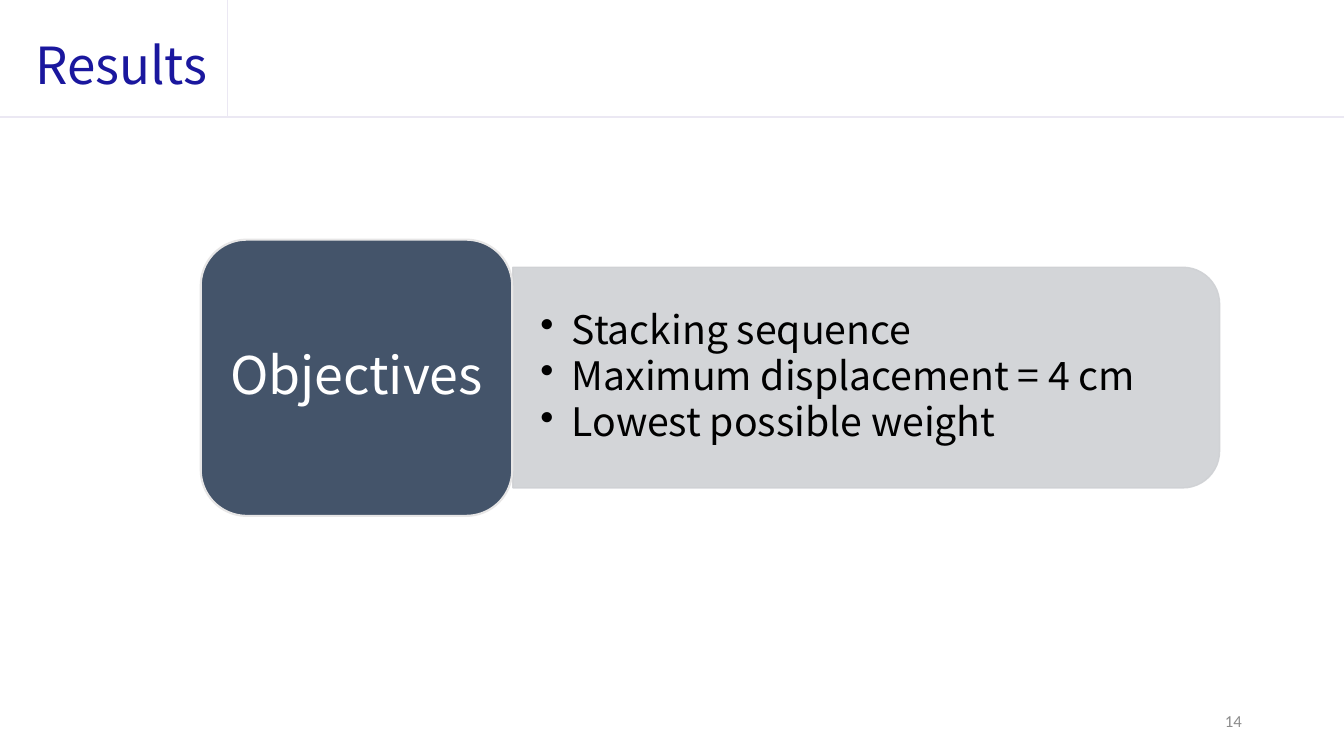
from dataclasses import dataclass

from lxml import etree
from pptx import Presentation
from pptx.dml.color import RGBColor
from pptx.enum.shapes import MSO_CONNECTOR, MSO_SHAPE
from pptx.enum.text import MSO_ANCHOR, PP_ALIGN
from pptx.oxml.ns import qn
from pptx.util import Cm, Pt

STRAIGHT = MSO_CONNECTOR.STRAIGHT
ROUNDED, TOP_ROUNDED = MSO_SHAPE.ROUNDED_RECTANGLE, MSO_SHAPE.ROUND_2_SAME_RECTANGLE
TOP, MIDDLE = MSO_ANCHOR.TOP, MSO_ANCHOR.MIDDLE
LEFT, CENTER, RIGHT = PP_ALIGN.LEFT, PP_ALIGN.CENTER, PP_ALIGN.RIGHT


@dataclass(frozen=True)
class Theme:
    """Colours, fonts and type sizes of the slide."""

    font: str = "Noto Sans CJK SC"
    number_font: str = "Calibri"
    title: str = "1A179E"
    number: str = "8C8C8C"
    rule: str = "EBE8F3"
    panel: str = "CFD1D4"
    tile: str = "44546A"
    tile_edge: str = "E7E6E6"
    body: str = "000000"
    tile_text: str = "FFFFFF"
    title_size: float = 36.5
    tile_size: float = 37
    body_size: float = 28
    number_size: float = 12


THEME = Theme()
SLIDE_WIDTH, SLIDE_HEIGHT = 33.87, 19.05
HEADER_BOTTOM, HEADER_DIVIDER = 2.95, 5.74
OBJECTIVES = ["Stacking sequence", "Maximum displacement = 4 cm", "Lowest possible weight"]


def add_bullet(paragraph, indent):
    """Give a paragraph a hanging round bullet."""
    properties = paragraph._p.get_or_add_pPr()
    properties.set("marL", str(Cm(indent)))
    properties.set("indent", str(-Cm(indent)))
    etree.SubElement(properties, qn("a:buChar"), char="•")


def add_text(slide, lines, box, *, size, color, font=THEME.font, align=LEFT, anchor=TOP,
             margins=(0, 0), line_spacing=None, space_after=0, bullet_indent=0):
    """Place lines of text in a box given in centimetres."""
    frame = slide.shapes.add_textbox(*map(Cm, box)).text_frame
    frame.word_wrap = True
    frame.vertical_anchor = anchor
    frame.margin_left = frame.margin_right = Cm(margins[0])
    frame.margin_top = frame.margin_bottom = Cm(margins[1])
    frame.text = "\n".join(lines)
    for paragraph in frame.paragraphs:
        paragraph.alignment = align
        paragraph.line_spacing = line_spacing
        paragraph.space_after = Pt(space_after)
        if bullet_indent:
            add_bullet(paragraph, bullet_indent)
        paragraph.font.name = font
        paragraph.font.size = Pt(size)
        paragraph.font.color.rgb = RGBColor.from_string(color)


def add_rule(slide, start, end):
    """Draw a thin header rule between two points."""
    rule = slide.shapes.add_connector(STRAIGHT, *map(Cm, start + end))
    rule.line.color.rgb = RGBColor.from_string(THEME.rule)
    rule.line.width = Pt(1)
    etree.SubElement(rule._element.spPr, qn("a:effectLst"))


def add_block(slide, preset, box, *, fill, edge, edge_width, rotation=0, opacity=100):
    """Draw a filled, outlined block."""
    block = slide.shapes.add_shape(preset, *map(Cm, box))
    block.shadow.inherit = False
    block.rotation = rotation
    block.fill.solid()
    block.fill.fore_color.rgb = RGBColor.from_string(fill)
    block.line.color.rgb = RGBColor.from_string(edge)
    block.line.width = Pt(edge_width)
    if opacity < 100:
        for color in block._element.spPr.iter(qn("a:srgbClr")):
            etree.SubElement(color, qn("a:alpha"), val=str(opacity * 1000))


def add_header(slide):
    """Add the title, the page number and the header rules."""
    add_text(slide, ["Results"], (0.89, 0.53, 21.26, 3.71), size=THEME.title_size,
             color=THEME.title, line_spacing=Pt(52.5))
    add_text(slide, ["14"], (23.93, 17.65, 7.62, 1.02), size=THEME.number_size,
             color=THEME.number, font=THEME.number_font, align=RIGHT, anchor=MIDDLE,
             margins=(0.25, 0.13))
    add_rule(slide, (0, HEADER_BOTTOM), (SLIDE_WIDTH, HEADER_BOTTOM))
    add_rule(slide, (HEADER_DIVIDER, HEADER_BOTTOM), (HEADER_DIVIDER, 0))


def add_objectives(slide):
    """Add the labelled tile and its panel of objectives."""
    add_block(slide, TOP_ROUNDED, (19.05, 0.61, 5.56, 17.81), fill=THEME.panel,
              edge=THEME.panel, edge_width=1, rotation=90, opacity=90)
    add_text(slide, OBJECTIVES, (12.93, 7.01, 17.55, 5.03), size=THEME.body_size,
             color=THEME.body, anchor=MIDDLE, margins=(0.69, 0.36), line_spacing=0.9,
             space_after=2.7, bullet_indent=0.79)
    add_block(slide, ROUNDED, (5.06, 6.04, 7.85, 6.96), fill=THEME.tile,
              edge=THEME.tile_edge, edge_width=1.5)
    add_text(slide, ["Objectives"], (5.41, 6.38, 7.16, 6.27), size=THEME.tile_size,
             color=THEME.tile_text, align=CENTER, anchor=MIDDLE, margins=(0.38, 0.2),
             line_spacing=0.9, space_after=6.3)


def main():
    """Build and save the slide."""
    deck = Presentation()
    deck.slide_width, deck.slide_height = Cm(SLIDE_WIDTH), Cm(SLIDE_HEIGHT)
    slide = deck.slides.add_slide(deck.slide_layouts[6])
    add_header(slide)
    add_objectives(slide)
    deck.save("out.pptx")


if __name__ == "__main__":
    main()
